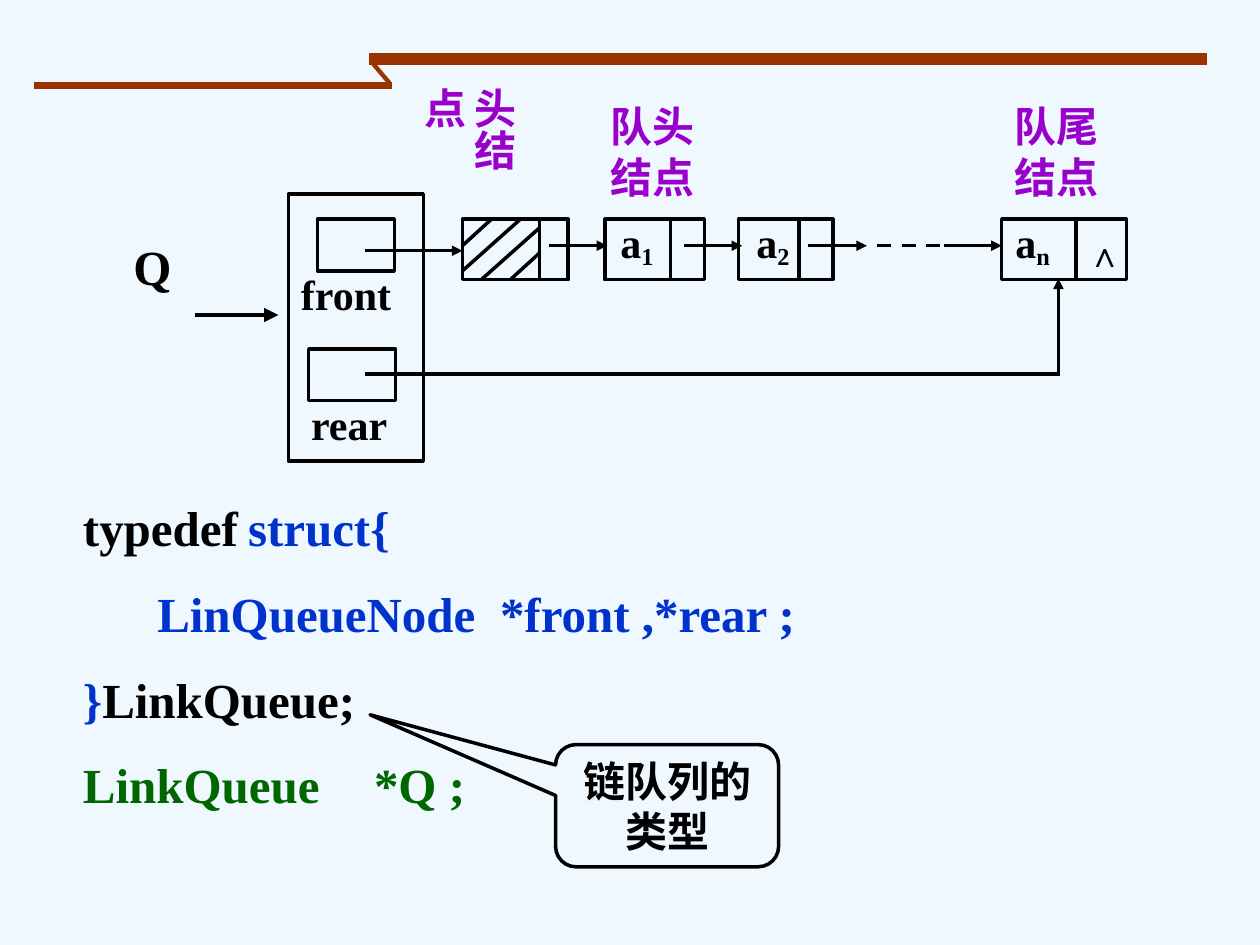
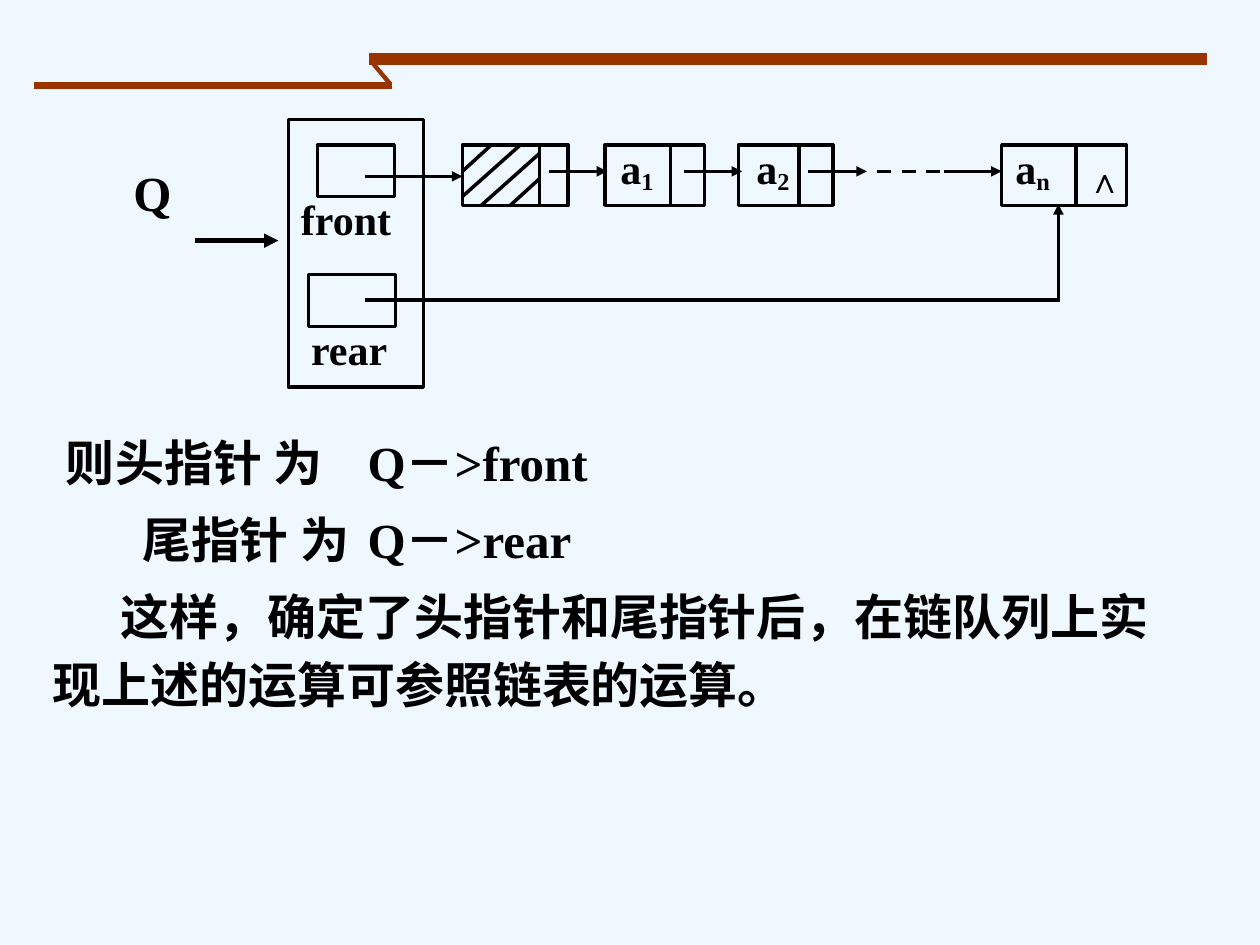
from pptx import Presentation
from pptx.dml.color import RGBColor
from pptx.enum.dml import MSO_LINE
from pptx.enum.shapes import MSO_CONNECTOR, MSO_SHAPE
from pptx.enum.text import MSO_ANCHOR, PP_ALIGN
from pptx.oxml.ns import qn
from pptx.util import Inches, Pt
from lxml import etree

STRAIGHT = MSO_CONNECTOR.STRAIGHT
RECTANGLE = MSO_SHAPE.RECTANGLE
PROCESS = MSO_SHAPE.FLOWCHART_PROCESS
CALLOUT = MSO_SHAPE.ROUNDED_RECTANGULAR_CALLOUT
LEFT, CENTER = PP_ALIGN.LEFT, PP_ALIGN.CENTER

FONT = "Times New Roman"
BACKGROUND, BAND, BLACK = "F0F8FF", "993300", "000000"
BLUE, GREEN, PURPLE = "0033CC", "006600", "9900CC"

# Header lines: start, end, width in points
HEADER = [
    ((2.93, 0.47), (9.58, 0.47), 6.5),
    ((0.27, 0.68), (3.11, 0.68), 4),
    ((2.94, 0.48), (3.1, 0.67), 2.5),
]

# Queue diagram, placed as on the first slide
QUEUE_BOX = (2.29, 1.54, 1.07, 2.12)
POINTER_BOXES = [(2.52, 1.74, 0.61, 0.41), (2.45, 2.77, 0.69, 0.41)]
POINTER_LABELS = [("front", 2.29, 2.08, 24), ("rear", 2.37, 3.11, 24),
                  ("Q", 0.96, 1.83, 28)]
NODE_TOP, NODE_HEIGHT = 1.74, 0.48
LINK_Y = 1.95
# Node: left, width, divider, subscript, label left, label width
NODES = [
    (3.67, 0.84, 4.28, None, 0, 0),
    (4.8, 0.79, 5.32, "1", 4.66, 0.79),
    (5.86, 0.75, 6.34, "2", 5.66, 0.95),
    (7.95, 0.99, 8.54, "n", 7.9, 0.59),
]
HATCHING = [
    ((3.9, 1.74), (3.67, 1.95)),
    ((4.13, 1.74), (3.67, 2.15)),
    ((4.28, 1.81), (3.82, 2.22)),
    ((4.28, 2.01), (4.05, 2.22)),
]
LINKS = [(4.36, 4.82), (5.43, 5.89), (6.41, 6.88), (7.49, 7.95)]
ELLIPSIS = (6.96, 7.49)
SECOND_SLIDE_SHIFT = -0.59

NODE_TITLES = [
    ("头结点", (3.57, 0.6, 0.6, 1.19), True),
    ("队头结点", (4.75, 0.75, 0.98, 0.9), False),
    ("队尾结点", (7.95, 0.75, 0.91, 0.9), False),
]

# Paragraph: first-line indent, tab stops, coloured pieces
DECLARATION = [
    (0.19, [1.71], [("typedef\t", BLACK), ("struct{", BLUE)]),
    (0.78, [3.5], [("LinQueueNode\t*front ,*rear ;", BLUE)]),
    (0.19, [], [("}", BLUE), ("LinkQueue;", BLACK)]),
    (0.19, [2.37], [("LinkQueue\t*Q ;", GREEN)]),
]
EXPLANATION = [
    (0.1, [0.75, 2.66], [("则\t头指针 为\tQ－>front", BLACK)]),
    (0.71, [2.63], [("尾指针 为\tQ－>rear", BLACK)]),
    (0.54, [], [("这样，确定了头指针和尾指针后，在链队列上实现上述的运算可参照链表的运算。",
                 BLACK)]),
]
CALLOUT_TEXT = "链队列的类型"
CALLOUT_BOX = (4.41, 5.91, 1.77, 0.97)
CALLOUT_ADJUSTMENTS = (-1.332, -0.744, 0.167)


def rgb(color):
    return RGBColor.from_string(color)


def inches(values):
    return [Inches(value) for value in values]


def add_line(shapes, start, end, width=2, color=BLACK, arrow=False, dashed=False):
    line = shapes.add_connector(STRAIGHT, *inches(start + end))
    line.line.width = Pt(width)
    line.line.color.rgb = rgb(color)
    if dashed:
        line.line.dash_style = MSO_LINE.DASH
    if arrow:
        etree.SubElement(line.line._get_or_add_ln(), qn("a:tailEnd"), type="triangle")
    etree.SubElement(line._element.spPr, qn("a:effectLst"))


def add_outline(shapes, box, kind=RECTANGLE):
    shape = shapes.add_shape(kind, *inches(box))
    shape.shadow.inherit = False
    shape.fill.background()
    shape.line.color.rgb = rgb(BLACK)
    shape.line.width = Pt(2)
    return shape


def format_run(run, size, color=BLACK):
    run.font.name = FONT
    run.font.size = Pt(size)
    run.font.bold = True
    run.font.color.rgb = rgb(color)


def add_label(shapes, text, box, size=24, color=BLACK, align=LEFT,
              subscript=None, vertical=False):
    text_frame = shapes.add_textbox(*inches(box)).text_frame
    text_frame.word_wrap = True
    text_frame.text = text
    paragraph = text_frame.paragraphs[0]
    paragraph.alignment = align
    if subscript:
        run = paragraph.add_run()
        run.text = subscript
        run.font._element.set("baseline", "-16000")
    for run in paragraph.runs:
        format_run(run, size, color)
    if vertical:
        text_frame._txBody.bodyPr.set("vert", "eaVert")


def add_body(slide, box, content, space_before, line_spacing=1.0):
    """Add paragraphs with first-line indents, tab stops and coloured runs."""
    text_frame = slide.shapes.add_textbox(*inches(box)).text_frame
    text_frame.word_wrap = True
    for index, (indent, tab_stops, pieces) in enumerate(content):
        paragraph = text_frame.add_paragraph() if index else text_frame.paragraphs[0]
        paragraph.space_before = Pt(space_before)
        paragraph.line_spacing = line_spacing
        properties = paragraph._p.get_or_add_pPr()
        properties.set("marL", "0")
        properties.set("indent", str(Inches(indent)))
        if tab_stops:
            tab_list = etree.SubElement(properties, qn("a:tabLst"))
            for stop in tab_stops:
                etree.SubElement(tab_list, qn("a:tab"), pos=str(Inches(stop)), algn="l")
        for text, color in pieces:
            run = paragraph.add_run()
            run.text = text
            format_run(run, 28, color)


def add_queue_diagram(slide, shift=0):
    """Draw the linked queue, moved down by shift inches."""
    shapes = slide.shapes.add_group_shape().shapes

    def moved(box):
        return (box[0], box[1] + shift) + tuple(box[2:])

    def line(start, end, **style):
        add_line(shapes, moved(start), moved(end), **style)

    for box in [QUEUE_BOX] + POINTER_BOXES:
        add_outline(shapes, moved(box))
    for text, left, top, size in POINTER_LABELS:
        add_label(shapes, text, moved((left, top, 1.25, 0.5)), size)

    for left, width, divider, subscript, label_left, label_width in NODES:
        add_outline(shapes, moved((left, NODE_TOP, width, NODE_HEIGHT)),
                    RECTANGLE if subscript else PROCESS)
        line((divider, NODE_TOP), (divider, NODE_TOP + NODE_HEIGHT))
        if subscript:
            add_label(shapes, "a", moved((label_left, 1.67, label_width, 0.5)),
                      align=CENTER, subscript=subscript)
    add_label(shapes, "∧", moved((8.43, 1.8, 0.68, 0.43)), 20, align=CENTER)

    for start, end in HATCHING:
        line(start, end)
    for start, end in LINKS:
        line((start, LINK_Y), (end, LINK_Y), arrow=True)
    line((ELLIPSIS[0], LINK_Y), (ELLIPSIS[1], LINK_Y), dashed=True)

    line((2.9, 1.99), (3.67, 1.99), arrow=True)
    line((2.9, 2.97), (8.41, 2.97))
    line((8.4, 2.96), (8.4, 2.21), arrow=True)
    line((1.55, 2.5), (2.21, 2.5), width=2.75, arrow=True)


def add_callout(slide):
    shape = add_outline(slide.shapes, CALLOUT_BOX, CALLOUT)
    for index, value in enumerate(CALLOUT_ADJUSTMENTS):
        shape.adjustments[index] = value
    text_frame = shape.text_frame
    text_frame.word_wrap = True
    text_frame.vertical_anchor = MSO_ANCHOR.MIDDLE
    text_frame.text = CALLOUT_TEXT
    text_frame.paragraphs[0].alignment = CENTER
    format_run(text_frame.paragraphs[0].runs[0], 24)


def add_slide(presentation):
    slide = presentation.slides.add_slide(presentation.slide_layouts[6])
    for start, end, width in HEADER:
        add_line(slide.shapes, start, end, width, BAND)
    return slide


def main():
    presentation = Presentation()
    presentation.slide_width, presentation.slide_height = Inches(10), Inches(7.5)
    background = presentation.slide_master.background.fill
    background.solid()
    background.fore_color.rgb = rgb(BACKGROUND)

    type_slide = add_slide(presentation)
    add_queue_diagram(type_slide)
    for text, box, vertical in NODE_TITLES:
        add_label(type_slide.shapes, text, box, color=PURPLE, vertical=vertical)
    add_body(type_slide, (0.37, 3.9, 9.42, 2.67), DECLARATION, 15.4)
    add_callout(type_slide)

    pointer_slide = add_slide(presentation)
    add_body(pointer_slide, (0.32, 3.31, 9.25, 3.31), EXPLANATION, 5.6, 1.15)
    add_queue_diagram(pointer_slide, SECOND_SLIDE_SHIFT)

    presentation.save("out.pptx")


if __name__ == "__main__":
    main()
